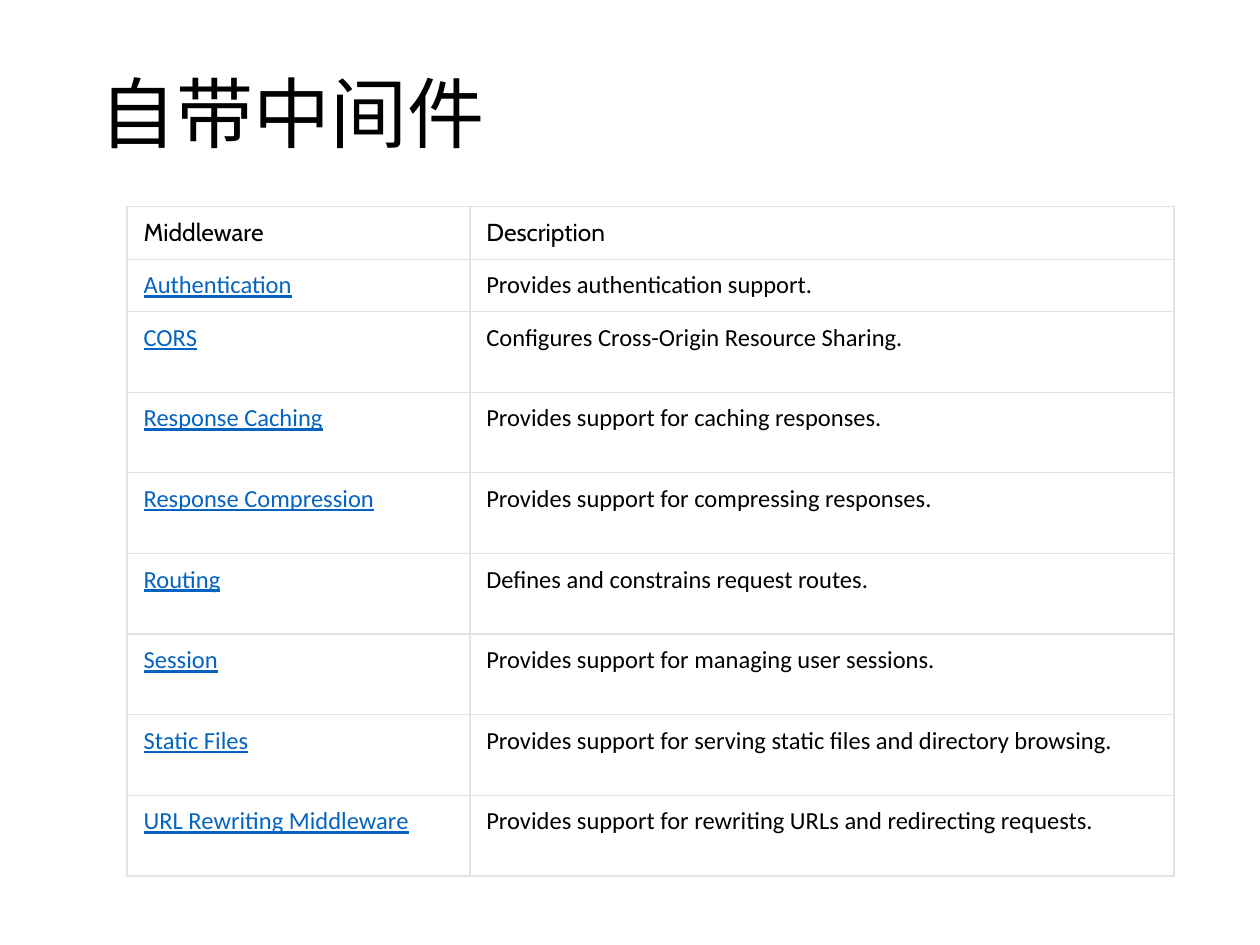
from lxml.etree import SubElement
from pptx import Presentation
from pptx.dml.color import RGBColor
from pptx.enum.text import MSO_ANCHOR, MSO_AUTO_SIZE, PP_ALIGN
from pptx.oxml.ns import qn
from pptx.util import Inches, Pt

BLACK = RGBColor(0x00, 0x00, 0x00)
WHITE = RGBColor(0xFF, 0xFF, 0xFF)
LINK_BLUE = RGBColor(0x05, 0x63, 0xC1)
BORDER_GRAY = RGBColor(0xE3, 0xE3, 0xE3)

MIDDLEWARE = [
    ("Middleware", "Description"),
    ("Authentication", "Provides authentication support."),
    ("CORS", "Configures Cross-Origin Resource Sharing."),
    ("Response Caching", "Provides support for caching responses."),
    ("Response Compression", "Provides support for compressing responses."),
    ("Routing", "Defines and constrains request routes."),
    ("Session", "Provides support for managing user sessions."),
    ("Static Files", "Provides support for serving static files and directory browsing."),
    ("URL Rewriting Middleware", "Provides support for rewriting URLs and redirecting requests."),
]
COLUMN_WIDTHS = [2.72, 5.59]
ROW_HEIGHTS = [0.41] * 2 + [0.64] * 7

HEADER_FONT = {"name": "Cabin", "size": Pt(14), "bold": False, "underline": False}
LINK_FONT = {**HEADER_FONT, "name": "Calibri", "underline": True}
BODY_FONT = {**LINK_FONT, "underline": False}
TITLE_FONT = {"name": "Calibri", "size": Pt(44)}
CELL_FORMAT = {
    "margin_left": Inches(0.13), "margin_right": Inches(0.13),
    "margin_top": Inches(0.09), "margin_bottom": Inches(0.09),
}


def apply_format(target, values):
    for attribute, value in values.items():
        setattr(target, attribute, value)


def add_borders(cell, widths):
    """Draw the cell's edges; widths maps each edge (L, R, T, B) to points."""
    properties = cell._tc.get_or_add_tcPr()
    for edge, width in widths.items():
        line = SubElement(properties, qn(f"a:ln{edge}"), w=str(Pt(width)))
        fill = SubElement(line, qn("a:solidFill"))
        SubElement(fill, qn("a:srgbClr"), val=str(BORDER_GRAY))


presentation = Presentation()
presentation.slide_width = Inches(10)
presentation.slide_height = Inches(7.5)
slide = presentation.slides.add_slide(presentation.slide_layouts[5])

# Title
title = slide.shapes.title
apply_format(title, {
    "left": Inches(0.69), "top": Inches(0.4),
    "width": Inches(8.62), "height": Inches(1.07),
})
title.text_frame.text = "自带中间件"
apply_format(title.text_frame, {
    "vertical_anchor": MSO_ANCHOR.MIDDLE, "auto_size": MSO_AUTO_SIZE.NONE,
})
heading = title.text_frame.paragraphs[0]
apply_format(heading, {"alignment": PP_ALIGN.LEFT, "line_spacing": 0.9})
heading_font = heading.runs[0].font
apply_format(heading_font, TITLE_FONT)
heading_font.color.rgb = BLACK

# Middleware table
middleware_table = slide.shapes.add_table(
    len(ROW_HEIGHTS), len(COLUMN_WIDTHS), Inches(1.01), Inches(1.64),
    Inches(sum(COLUMN_WIDTHS)), Inches(sum(ROW_HEIGHTS)),
).table
apply_format(middleware_table, {"first_row": False, "horz_banding": False})
for column, width in zip(middleware_table.columns, COLUMN_WIDTHS):
    column.width = Inches(width)
for row, height in zip(middleware_table.rows, ROW_HEIGHTS):
    row.height = Inches(height)

last_row = len(MIDDLEWARE) - 1
for row_index, entry in enumerate(MIDDLEWARE):
    is_header = row_index == 0
    edge_widths = {
        "L": 1, "R": 1,
        "T": 1 if is_header else 0.75,
        "B": 1 if row_index == last_row else 0.75,
    }
    for column_index, text in enumerate(entry):
        is_link = column_index == 0 and not is_header
        cell = middleware_table.cell(row_index, column_index)
        cell.text = text
        apply_format(cell, CELL_FORMAT)
        cell.vertical_anchor = MSO_ANCHOR.BOTTOM if is_header else MSO_ANCHOR.TOP
        add_borders(cell, edge_widths)
        cell.fill.solid()
        cell.fill.fore_color.rgb = WHITE
        font = cell.text_frame.paragraphs[0].runs[0].font
        apply_format(font, HEADER_FONT if is_header else LINK_FONT if is_link else BODY_FONT)
        font.color.rgb = LINK_BLUE if is_link else BLACK

presentation.save("out.pptx")
